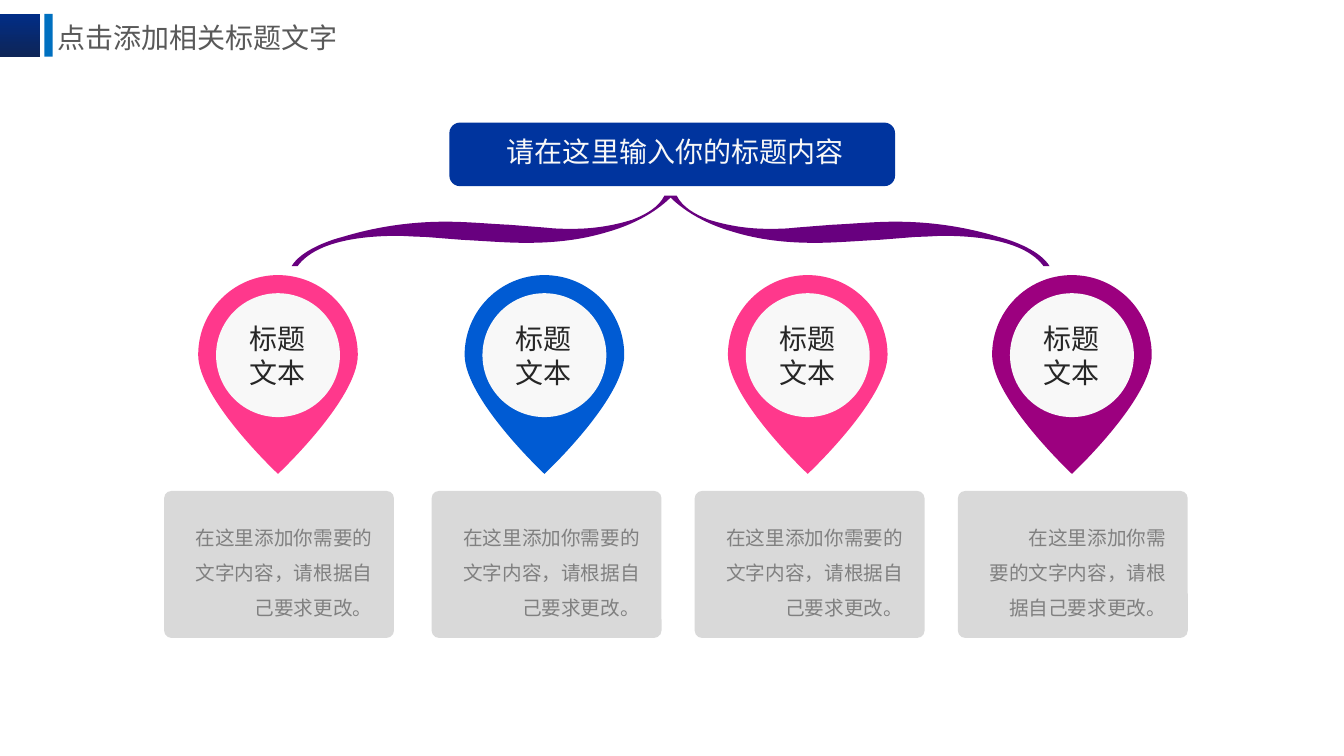
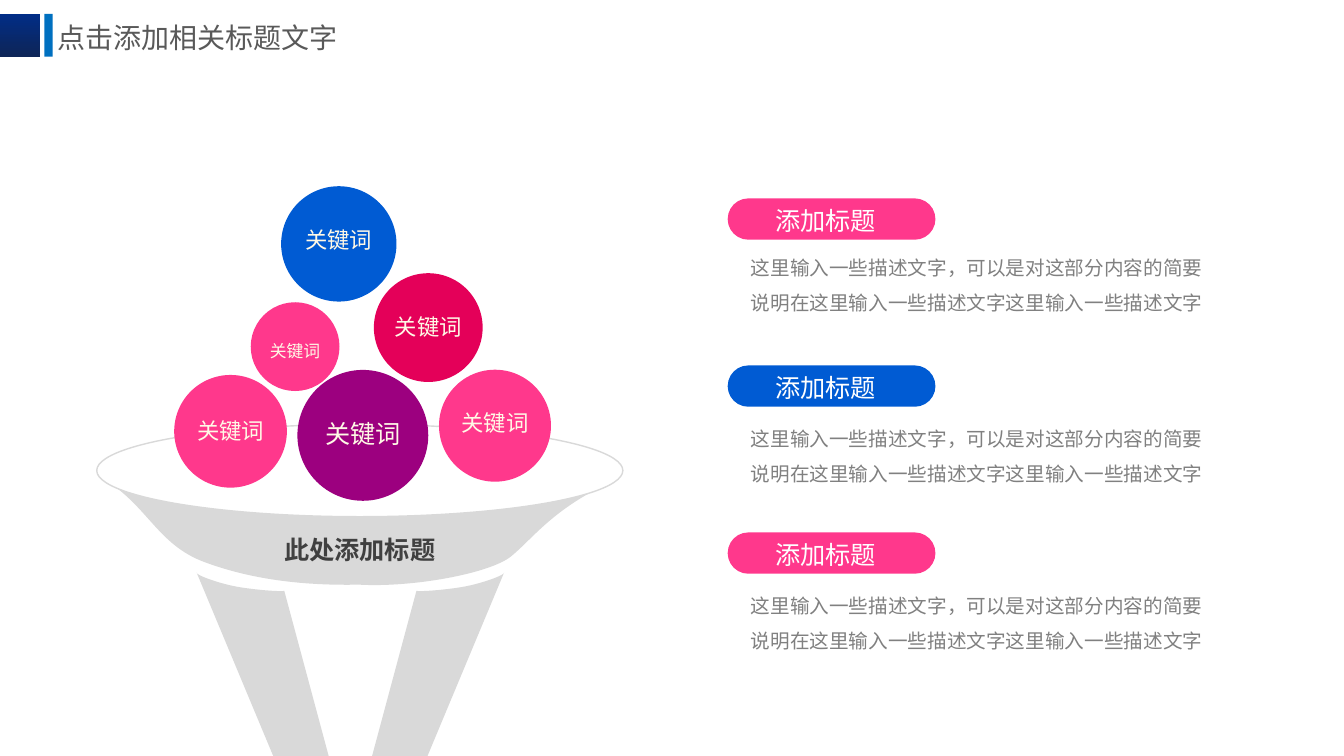
"""Build two slides: a four-pin overview and a keyword funnel."""
from lxml import etree
from pptx import Presentation
from pptx.dml.color import RGBColor
from pptx.enum.shapes import MSO_SHAPE as Preset
from pptx.enum.text import MSO_ANCHOR as Anchor, MSO_AUTO_SIZE as AutoSize, PP_ALIGN as Align
from pptx.oxml.ns import qn
from pptx.util import Pt

FONT = "Noto Sans CJK SC"
NAVY_TOP = RGBColor(0x01, 0x2D, 0x86)
NAVY_BOTTOM = RGBColor(0x0E, 0x25, 0x57)
ACCENT = RGBColor(0x00, 0x70, 0xC0)
TITLE_GRAY = RGBColor(0x59, 0x59, 0x59)
HEADER_BLUE = RGBColor(0x00, 0x34, 0x9E)
BLUE = RGBColor(0x00, 0x5B, 0xD3)
PINK = RGBColor(0xFF, 0x38, 0x8C)
CRIMSON = RGBColor(0xE4, 0x00, 0x59)
PURPLE = RGBColor(0x9C, 0x00, 0x7F)
VIOLET = RGBColor(0x68, 0x00, 0x7F)
LIGHT_GRAY = RGBColor(0xD9, 0xD9, 0xD9)
BODY_GRAY = RGBColor(0x80, 0x80, 0x80)
DARK = RGBColor(0x26, 0x26, 0x26)
CAPTION = RGBColor(0x40, 0x40, 0x40)
OFF_WHITE = RGBColor(0xF8, 0xF8, 0xF8)
CREAM = RGBColor(0xFF, 0xF9, 0xE6)
WHITE = RGBColor(0xFF, 0xFF, 0xFF)

TITLE = "点击添加相关标题文字"
HEADER = "请在这里输入你的标题内容"
PIN_LABEL = "标题\n文本"
CARD_TEXT = "在这里添加你需要的文字内容，请根据自己要求更改。"
FUNNEL_CAPTION = "此处添加标题"
KEYWORD = "关键词"
SECTION_TITLE = "添加标题"
SECTION_TEXT = "这里输入一些描述文字，可以是对这部分内容的简要说明在这里输入一些描述文字这里输入一些描述文字"

# Pin centre, card left, colour, first-line indent of the card
PINS = [(198.6, 117.2, PINK, 0), (388.9, 308.3, BLUE, 0),
        (577, 496.2, PINK, 0), (765.7, 684.2, PURPLE, 22)]
# Centre x, centre y, diameter, colour, text size, text centre below disc centre
KEYWORDS = [
    (164.7, 308.1, 80.5, PINK, 16, -0.4),
    (259.2, 311, 93.5, PURPLE, 18, -1.4),
    (353.6, 304.1, 80, PINK, 16, -2),
    (305.9, 234, 77.7, CRIMSON, 16, -1),
    (210.8, 247.6, 63.4, PINK, 12, 3),
    (242, 174.2, 82.4, BLUE, 16, -3.2),
]
# Pill colour, gap from pill top to text box
SECTIONS = [(PINK, 28.8), (BLUE, 31.7), (PINK, 31.7)]

# Outlines: a start point, then lines (x, y) and cubic curves (six numbers)
PIN = [(-57, 57), (-57, 88.6, 0, 142, 0, 142), (0, 142, 57, 88.6, 57, 57),
       (57, 25.5, 31.5, 0, 0, 0), (-31.5, 0, -57, 25.5, -57, 57)]
RIBBON_UPPER = [
    (270.7, 50.4), (264.2, 39.6, 245.5, 32.4, 234, 29.5),
    (210.2, 22.3, 185.8, 18.7, 160.6, 18.7), (145.4, 18.7, 130.3, 20.2, 115.2, 20.9),
    (106.6, 21.6, 97.2, 22.3, 88.6, 23), (82.1, 23.8, 75.6, 23.8, 69.8, 23.8),
    (55.4, 23.8, 41, 21.6, 27.4, 17.3), (18, 13.7, 8.6, 8.6, 4.3, 0),
]
RIBBON_LOWER = [
    (2.2, 3.6), (14.4, 14.4, 29.5, 21.6, 44.6, 25.9),
    (63.4, 31.7, 82.8, 33.8, 103, 33.8), (118.1, 33.8, 133.2, 32.4, 148.3, 31.7),
    (157.7, 31, 167, 30.2, 176.4, 29.5), (182.9, 29.5, 189.4, 28.8, 195.1, 28.8),
    (217.4, 28.8, 252.7, 31.7, 266.4, 50.4),
]
BOWL = [(0, 0), (36.7, 20.2, 41.8, 49.7, 77.8, 62.7), (113, 75.6, 150.5, 79.2, 187.2, 78.5),
        (225.4, 80.7, 280.8, 70.6, 296, 58.3), (311.8, 45.4, 326.2, 23.8, 369.4, 4.3)]
LEG = [(47.2, 13), (15.5, 131), (55.1, 131), (109.8, 0),
       (111.2, 1.4, 92.5, 8.6, 76.7, 10.8), (61.6, 13, 48, 13.6, 47.2, 13)]


def get_points(outline):
    """List every end point and control point of an outline."""
    return [segment[i:i + 2] for segment in outline for i in range(0, len(segment), 2)]


def mirror_back(curves):
    """Flip a chain of curves sideways and run through it backwards."""
    points = [(-x, y) for x, y in reversed(get_points(curves))]
    return points[:1] + [sum(points[i:i + 3], ()) for i in range(1, len(points), 3)]


def paint(shape, color, line=None):
    """Give a shape a plain fill, an optional line and no shadow."""
    shape.shadow.inherit = False
    shape.fill.solid()
    shape.fill.fore_color.rgb = color
    if line is None:
        shape.line.fill.background()
    else:
        shape.line.color.rgb = line
        shape.line.width = Pt(1)
    return shape


def add_preset(slide, preset, left, top, width, height, color, line=None, corner=None):
    """Add a painted preset shape."""
    shape = slide.shapes.add_shape(preset, Pt(left), Pt(top), Pt(width), Pt(height))
    if corner is not None:
        shape.adjustments[0] = corner
    return paint(shape, color, line)


def add_disc(slide, center_x, center_y, diameter, color):
    """Add a circle around a centre point."""
    return add_preset(slide, Preset.OVAL, center_x - diameter / 2, center_y - diameter / 2,
                      diameter, diameter, color)


def add_outline(slide, outline, x, y, color, mirror=1):
    """Add a curved freeform placed at x, y; mirror=-1 flips it sideways."""
    points = [(Pt(x + mirror * px), Pt(y + py)) for px, py in get_points(outline)]
    builder = slide.shapes.build_freeform(*points[0])
    builder.add_line_segments(points[1:], close=True)
    shape = builder.convert_to_shape()
    lines = iter(list(shape._element.iter(qn("a:lnTo"))))
    for segment in outline[1:]:
        first = next(lines)
        if len(segment) == 6:
            first.tag = qn("a:cubicBezTo")
            for extra in (next(lines), next(lines)):
                first.append(extra[0])
                extra.getparent().remove(extra)
    return paint(shape, color)


def add_text(slide, text, left, top, width, height, wrap=False, **text_format):
    """Add a text box and write in it."""
    box = slide.shapes.add_textbox(Pt(left), Pt(top), Pt(width), Pt(height))
    write(box, text, wrap=wrap, **text_format)


def write(shape, text, size=20, color=WHITE, align=Align.LEFT, bold=False,
          spacing=1, indent=0, wrap=True, anchor=Anchor.TOP):
    """Write formatted text in a shape, one paragraph a line."""
    frame = shape.text_frame
    frame.auto_size = AutoSize.NONE
    frame.word_wrap = wrap
    frame.vertical_anchor = anchor
    for index, line in enumerate(text.split("\n")):
        paragraph = frame.add_paragraph() if index else frame.paragraphs[0]
        paragraph.alignment = align
        paragraph.line_spacing = spacing
        if indent:
            paragraph._p.get_or_add_pPr().set("indent", str(Pt(indent)))
        run = paragraph.add_run()
        run.text = line
        run.font.size = Pt(size)
        run.font.bold = bold
        run.font.color.rgb = color
        run.font.name = FONT
        etree.SubElement(run.font._element, qn("a:ea")).set("typeface", FONT)


def add_titled_slide(presentation):
    """Add a slide with the shared title and band."""
    slide = presentation.slides.add_slide(presentation.slide_layouts[5])
    band = add_preset(slide, Preset.RECTANGLE, 0, 10, 28.5, 30.5, NAVY_TOP)
    band.fill.gradient()
    band.fill.gradient_angle = 270
    for stop, color in zip(band.fill.gradient_stops, (NAVY_TOP, NAVY_BOTTOM)):
        stop.color.rgb = color
    add_preset(slide, Preset.RECTANGLE, 31.7, 10, 6, 30.5, ACCENT)
    title = slide.shapes.title
    title.left, title.top, title.width, title.height = Pt(33.8), Pt(4.3), Pt(234.7), Pt(44)
    write(title, TITLE, color=TITLE_GRAY, anchor=Anchor.MIDDLE)
    return slide


def build_pins(presentation):
    """Build the header with four pins and cards."""
    slide = add_titled_slide(presentation)
    ribbon = (RIBBON_UPPER + mirror_back(RIBBON_UPPER) + mirror_back(RIBBON_LOWER)
              + [(0, 1.4)] + RIBBON_LOWER)
    add_outline(slide, ribbon, 479, 139.7, VIOLET)
    add_preset(slide, Preset.ROUNDED_RECTANGLE, 321, 87.6, 318.4, 45.4, HEADER_BLUE)
    add_text(slide, HEADER, 355, 92.9, 276.5, 31.7, color=OFF_WHITE)
    for center, card_left, color, indent in PINS:
        add_outline(slide, PIN, center, 196.5, color)
        add_disc(slide, center, 253.7, 88.5, OFF_WHITE)
        add_text(slide, PIN_LABEL, center - 27.4, 226.1, 54.7, 55.4, color=DARK)
        add_preset(slide, Preset.ROUNDED_RECTANGLE, card_left, 350.7, 164.2, 105,
                   LIGHT_GRAY, corner=0.05)
        add_text(slide, CARD_TEXT, card_left + 12, 363.6, 144, 82, size=14, wrap=True,
                 color=BODY_GRAY, align=Align.RIGHT, spacing=1.5, indent=indent)


def build_funnel(presentation):
    """Build the keyword funnel and its three sections."""
    slide = add_titled_slide(presentation)
    add_outline(slide, BOWL, 69.1, 339.1, LIGHT_GRAY)
    add_preset(slide, Preset.OVAL, 69.1, 303.1, 375.8, 66, WHITE, line=LIGHT_GRAY)
    for center_x, center_y, diameter, color, size, shift in KEYWORDS:
        add_disc(slide, center_x, center_y, diameter, color)
        width, height = 3 * size + 15, 1.2 * size + 7.2
        add_text(slide, KEYWORD, center_x - width / 2, center_y + shift - height / 2,
                 width, height, size=size, color=CREAM, align=Align.CENTER)
    for mirror in (1, -1):
        add_outline(slide, LEG, 250.3, 409, LIGHT_GRAY, mirror)
    add_text(slide, FUNNEL_CAPTION, 195.8, 378, 123.8, 28.8, size=18, color=CAPTION, bold=True)
    for index, (color, gap) in enumerate(SECTIONS):
        top = 141.7 + 119.3 * index
        add_preset(slide, Preset.ROUNDED_RECTANGLE, 519.8, top, 148.4, 29.5, color, corner=0.5)
        add_text(slide, SECTION_TITLE, 546.5, top + 1.2, 87, 28.8, size=18)
        add_text(slide, SECTION_TEXT, 529.2, top + gap, 338.4, 58.3, size=14, wrap=True,
                 color=BODY_GRAY, spacing=1.5)


def main():
    """Build and save the presentation."""
    presentation = Presentation()
    presentation.slide_width, presentation.slide_height = Pt(960), Pt(540)
    build_pins(presentation)
    build_funnel(presentation)
    presentation.save("out.pptx")


if __name__ == "__main__":
    main()
